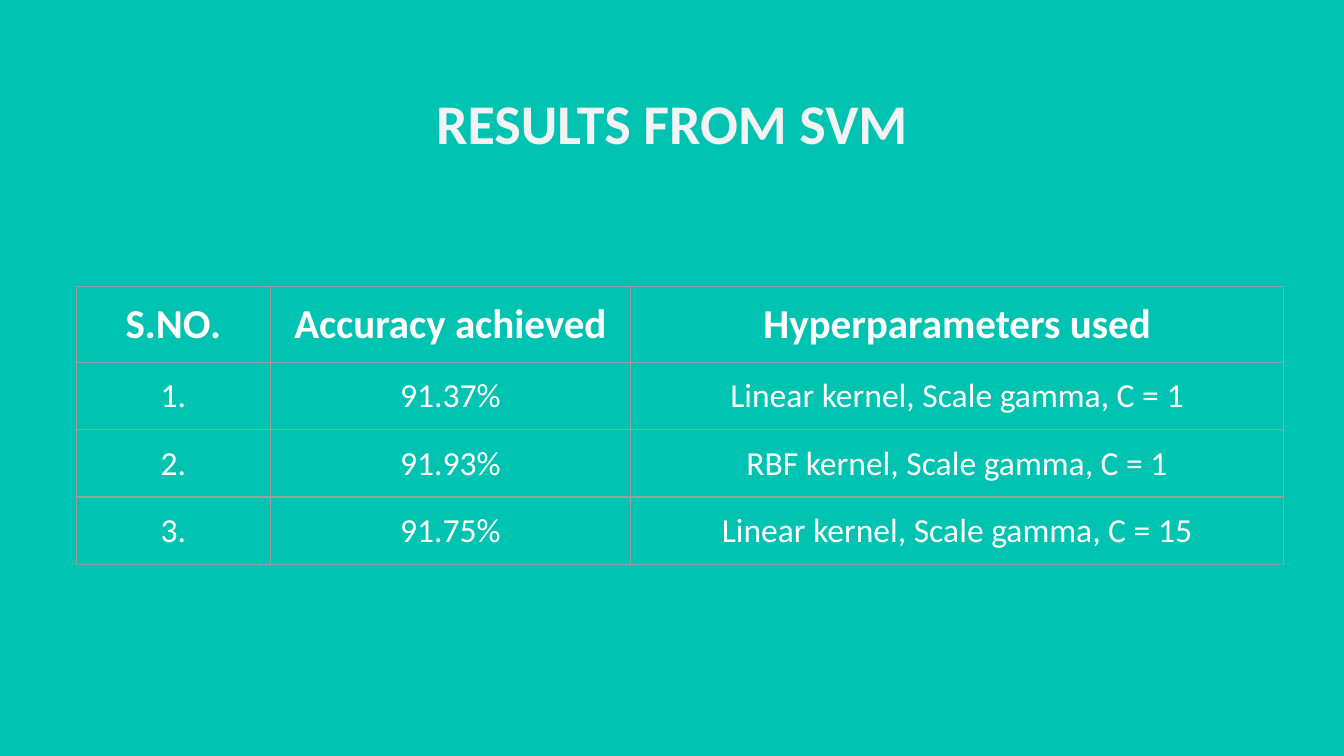
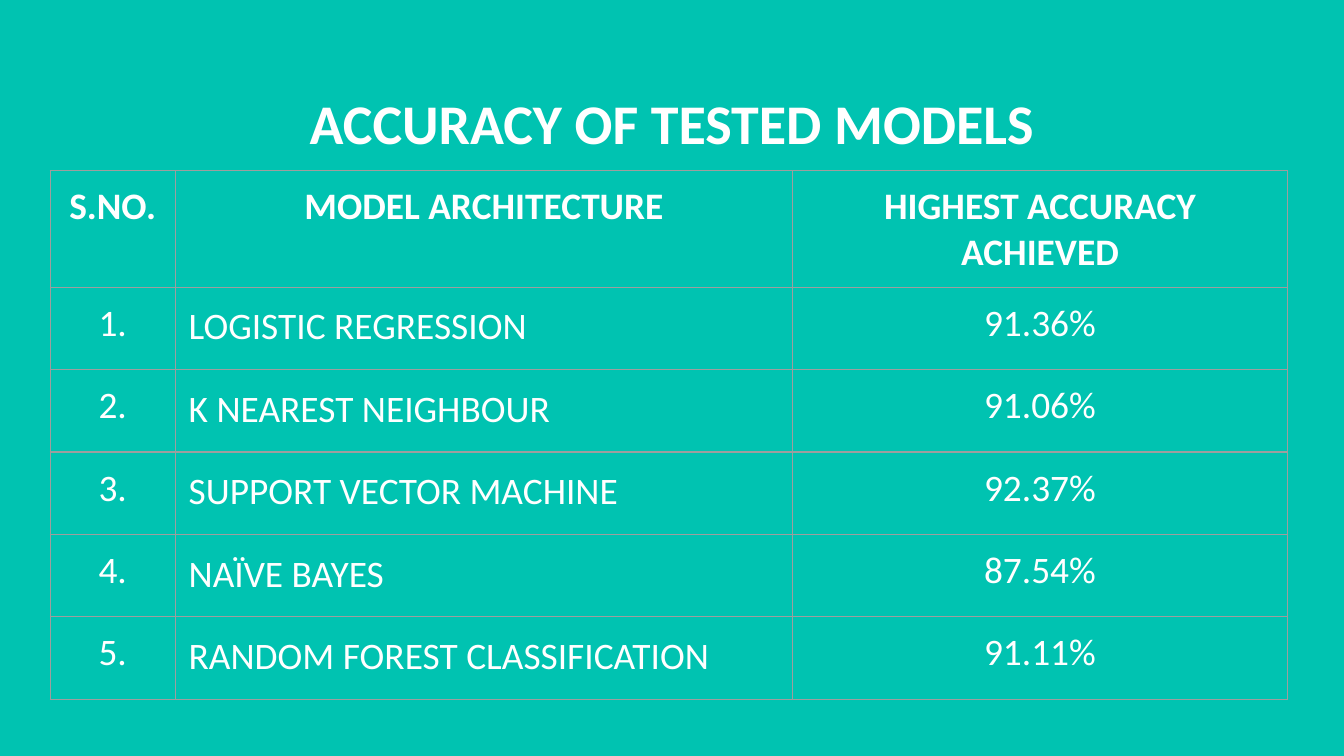
from dataclasses import dataclass

from lxml import etree
from pptx import Presentation
from pptx.dml.color import RGBColor
from pptx.enum.text import MSO_ANCHOR, PP_ALIGN
from pptx.oxml.ns import qn
from pptx.util import Inches, Pt

CENTER, LEFT = PP_ALIGN.CENTER, PP_ALIGN.LEFT
TOP = MSO_ANCHOR.TOP

TEAL = RGBColor(0x00, 0xC3, 0xB1)
WHITE = RGBColor(0xFF, 0xFF, 0xFF)
OFF_WHITE = RGBColor(0xF3, 0xF3, 0xF3)
GREY = RGBColor(0x9E, 0x9E, 0x9E)
FONT = "Calibri"

# The page is a grid of 100 columns; rows are as tall as columns are wide.
PAGE_COLUMNS, PAGE_ROWS = 100, 56.25
UNIT = Inches(10) / PAGE_COLUMNS
INSET = Inches(0.1)
BORDER_WIDTH = Pt(0.75)


@dataclass
class Box:
    """A region in grid columns and rows."""
    left: float
    top: float
    width: float
    height: float

    def lengths(self):
        return [grid(n) for n in (self.left, self.top, self.width, self.height)]


@dataclass
class TableStyle:
    header_size: int
    body_size: int
    left_columns: tuple = ()


TITLE_BOX = Box(7.85, 5.6, 84.3, 6.3)


def grid(count):
    return round(count * UNIT)


def add_text(para, text, size, color, bold=False, align=CENTER):
    para.alignment = align
    span = para.add_run()
    span.text = text
    span.font.name = FONT
    span.font.size = Pt(size)
    span.font.bold = bold
    span.font.color.rgb = color


def set_insets(holder):
    holder.margin_left = holder.margin_right = INSET
    holder.margin_top = holder.margin_bottom = INSET
    holder.vertical_anchor = TOP


def add_title(page, box, text, color):
    frame = page.shapes.add_textbox(*box.lengths()).text_frame
    frame.word_wrap = True
    set_insets(frame)
    add_text(frame.paragraphs[0], text, 30, color, bold=True)


def add_borders(cell):
    properties = cell._tc.get_or_add_tcPr()
    for side in ("a:lnL", "a:lnR", "a:lnT", "a:lnB"):
        line = etree.SubElement(properties, qn(side), w=str(BORDER_WIDTH))
        fill = etree.SubElement(line, qn("a:solidFill"))
        etree.SubElement(fill, qn("a:srgbClr"), val=str(GREY))


def fill_cell(cell, text, style, is_header, is_left):
    set_insets(cell)
    add_borders(cell)
    cell.fill.background()
    para = cell.text_frame.paragraphs[0]
    size = style.header_size if is_header else style.body_size
    add_text(para, text, size, WHITE, is_header, LEFT if is_left else CENTER)
    if is_left:
        para.line_spacing = 1.08
        para.space_after = Pt(8)


def add_results_table(page, left, top, widths, heights, rows, style):
    box = Box(left, top, sum(widths), sum(heights))
    table = page.shapes.add_table(len(rows), len(widths), *box.lengths()).table
    table.first_row = table.horz_banding = False
    for column, width in zip(table.columns, widths):
        column.width = grid(width)
    for row, height in zip(table.rows, heights):
        row.height = grid(height)
    for r, texts in enumerate(rows):
        for c, text in enumerate(texts):
            is_header = r == 0
            is_left = not is_header and c in style.left_columns
            fill_cell(table.cell(r, c), text, style, is_header, is_left)


def numbered(header, records):
    """Put the header first and a serial number before each record."""
    return [("S.NO.", *header)] + [
        (f"{number}.", *record) for number, record in enumerate(records, 1)]


def add_page(deck):
    page = deck.slides.add_slide(deck.slide_layouts[6])
    page.background.fill.solid()
    page.background.fill.fore_color.rgb = TEAL
    return page


def build_svm_page(deck):
    page = add_page(deck)
    add_title(page, TITLE_BOX, "RESULTS FROM SVM", OFF_WHITE)
    rows = numbered(("Accuracy achieved", "Hyperparameters used"), [
        ("91.37%", "Linear kernel, Scale gamma, C = 1"),
        ("91.93%", "RBF kernel, Scale gamma, C = 1"),
        ("91.75%", "Linear kernel, Scale gamma, C = 15"),
    ])
    add_results_table(page, 5.67, 21.3, (14.45, 26.8, 48.6), [4.2] * len(rows),
                      rows, TableStyle(22, 18))


def build_models_page(deck):
    page = add_page(deck)
    add_title(page, TITLE_BOX, "ACCURACY OF TESTED MODELS", WHITE)
    rows = numbered(("MODEL ARCHITECTURE", "HIGHEST ACCURACY ACHIEVED"), [
        ("LOGISTIC REGRESSION", "91.36%"),
        ("K NEAREST NEIGHBOUR", "91.06%"),
        ("SUPPORT VECTOR MACHINE", "92.37%"),
        ("NAÏVE BAYES", "87.54%"),
        ("RANDOM FOREST CLASSIFICATION", "91.11%"),
    ])
    heights = [6.3] + [6.13] * (len(rows) - 1)
    add_results_table(page, 3.74, 12.7, (9.3, 45.95, 36.8), heights,
                      rows, TableStyle(20, 20, left_columns=(1,)))


def main():
    deck = Presentation()
    deck.slide_width = grid(PAGE_COLUMNS)
    deck.slide_height = grid(PAGE_ROWS)
    build_svm_page(deck)
    build_models_page(deck)
    deck.save("out.pptx")


if __name__ == "__main__":
    main()
